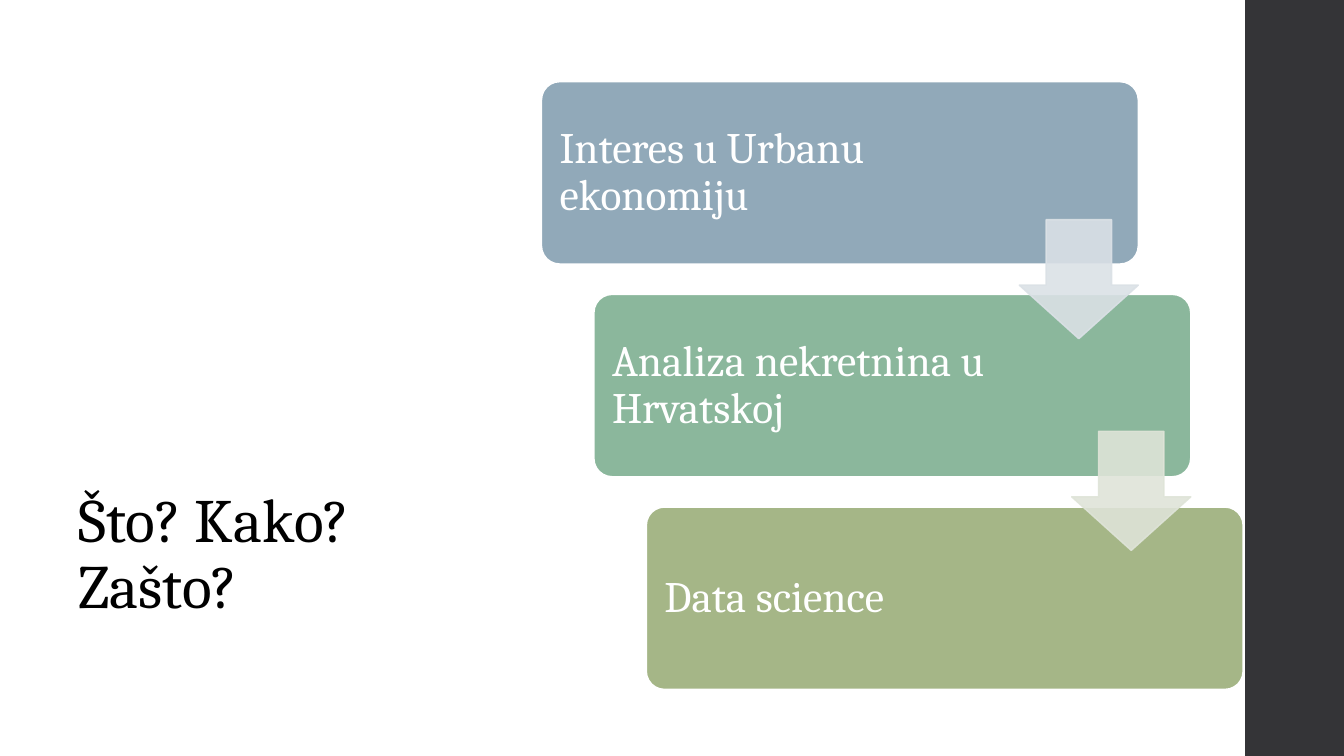
from dataclasses import dataclass

from lxml import etree
from pptx import Presentation
from pptx.dml.color import RGBColor
from pptx.enum.shapes import MSO_SHAPE
from pptx.enum.text import MSO_ANCHOR, PP_ALIGN
from pptx.oxml.ns import qn
from pptx.util import Inches, Pt

RECTANGLE = MSO_SHAPE.RECTANGLE
ROUNDED = MSO_SHAPE.ROUNDED_RECTANGLE
DOWN_ARROW = MSO_SHAPE.DOWN_ARROW
MIDDLE = MSO_ANCHOR.MIDDLE
BOTTOM = MSO_ANCHOR.BOTTOM
LEFT = PP_ALIGN.LEFT


@dataclass(frozen=True)
class Theme:
    """Colours, font and type sizes of the slide."""
    font: str = "Cambria"
    title_size: int = 44
    step_size: int = 31
    outline: float = 1.1
    arrow_opacity: int = 89
    ink: str = "000000"
    paper: str = "FFFFFF"
    band: str = "343437"
    steps: tuple = ("91A9B9", "8BB79C", "A5B687")
    arrows: tuple = ("DBE1E6", "DFE4D8")


THEME = Theme()
STEPS = (
    ("Interes u Urbanu ekonomiju", 3.96),
    ("Analiza nekretnina u Hrvatskoj", 4.11),
    ("Data science", 4.11),
)


def add_block(slide, kind, box, fill, line=None, adjustments=()):
    """Add a filled preset shape in the box, outlined if a line colour is given."""
    shape = slide.shapes.add_shape(kind, *map(Inches, box))
    shape.shadow.inherit = False
    shape.fill.solid()
    shape.fill.fore_color.rgb = RGBColor.from_string(fill)
    if line:
        shape.line.color.rgb = RGBColor.from_string(line)
        shape.line.width = Pt(THEME.outline)
    else:
        shape.line.fill.background()
    for index, value in enumerate(adjustments):
        shape.adjustments[index] = value
    return shape


def add_text(slide, text, box, size, color, anchor, insets):
    """Add a wrapped, left-aligned text box with (horizontal, vertical) insets."""
    frame = slide.shapes.add_textbox(*map(Inches, box)).text_frame
    frame.word_wrap = True
    frame.vertical_anchor = anchor
    frame.margin_left = frame.margin_right = Inches(insets[0])
    frame.margin_top = frame.margin_bottom = Inches(insets[1])
    paragraph = frame.paragraphs[0]
    paragraph.text = text
    paragraph.alignment = LEFT
    paragraph.line_spacing = 0.9
    paragraph.font.name = THEME.font
    paragraph.font.size = Pt(size)
    paragraph.font.color.rgb = RGBColor.from_string(color)


def set_opacity(shape, percent):
    """Make the fill and the outline of a shape translucent."""
    for color in shape.fill._xPr.iter(qn("a:srgbClr")):
        etree.SubElement(color, qn("a:alpha"), val=str(percent * 1000))


def add_staircase(slide, left, top, width, height):
    """Draw the descending steps in the box, with an arrow between neighbours."""
    shift, pitch, arrow = 0.52, 2.11, 1.18
    step_width = width - shift * (len(STEPS) - 1)
    step_height = height - pitch * (len(STEPS) - 1)
    for index, (text, text_width) in enumerate(STEPS):
        x, y = left + shift * index, top + pitch * index
        add_block(slide, ROUNDED, (x, y, step_width, step_height),
                  THEME.steps[index], THEME.paper, (0.1,))
        add_text(slide, text, (x + 0.05, y + 0.06, text_width, step_height - 0.11),
                 THEME.step_size, THEME.paper, MIDDLE, (0.13, 0.13))
    for index, color in enumerate(THEME.arrows):
        x = left + shift * index + step_width - arrow
        y = top + 1.37 + (pitch - 0.01) * index
        shape = add_block(slide, DOWN_ARROW, (x, y, arrow, arrow),
                          color, color, (0.45, 0.55))
        shape.adjustments[0], shape.adjustments[1] = 0.55, 0.45
        set_opacity(shape, THEME.arrow_opacity)


def main():
    """Build the slide and save it."""
    presentation = Presentation()
    presentation.slide_width = Inches(13.33)
    presentation.slide_height = Inches(7.5)
    slide = presentation.slides.add_slide(presentation.slide_layouts[6])
    add_block(slide, RECTANGLE, (12.35, 0, 0.98, 7.5), THEME.band)
    add_text(slide, "Što? Kako? Zašto?", (0.68, 1.27, 3.94, 4.95),
             THEME.title_size, THEME.ink, BOTTOM, (0.1, 0.05))
    add_staircase(slide, 5.37, 0.81, 6.96, 6.03)
    presentation.save("out.pptx")


if __name__ == "__main__":
    main()
